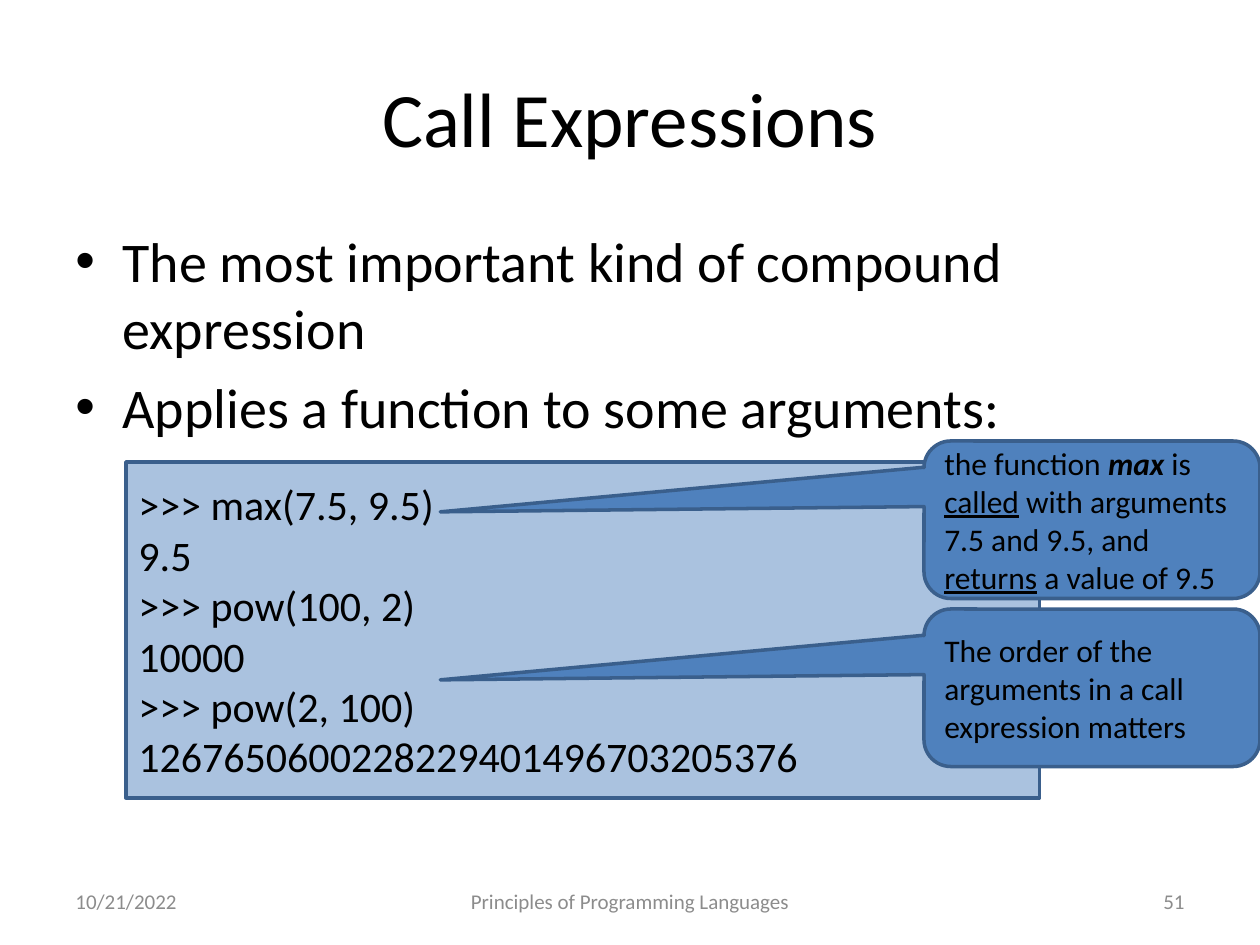
from lxml.etree import SubElement
from pptx import Presentation
from pptx.dml.color import RGBColor
from pptx.enum.shapes import MSO_SHAPE as SHAPE
from pptx.enum.text import MSO_ANCHOR as ANCHOR, PP_ALIGN as ALIGN
from pptx.oxml.ns import qn
from pptx.util import Pt

FONT = "Calibri"
COLORS = {"text": "000000", "muted": "8C8C8C", "fill": "4F81BD", "line": "3A5F8C"}

# Content: each paragraph is a list of (text, style) runs; b, i, u set the style
TITLE = [[("Call Expressions", "")]]
BULLETS = [
    [("The most important kind of compound expression", "")],
    [("Applies a function to some arguments:", "")],
]
CODE = [[(line, "")] for line in (
    ">>> max(7.5, 9.5)",
    "9.5",
    ">>> pow(100, 2)",
    "10000",
    ">>> pow(2, 100)",
    "1267650600228229401496703205376",
)]
CALLOUTS = [
    [
        [("the function ", ""), ("max", "bi"), (" is ", ""), ("called", "u"),
         (" with arguments 7.5 and 9.5, and", "")],
        [("returns", "u"), (" a value of 9.5", "")],
    ],
    [[("The order of the arguments in a call expression matters", "")]],
]
FOOTERS = [  # text, left, width, alignment
    ("10/21/2022", 36, 168, ALIGN.LEFT),
    ("Principles of Programming Languages", 246, 228, ALIGN.CENTER),
    ("51", 516, 168, ALIGN.RIGHT),
]

# Layout in points
TITLE_BOX = (36, 21.6, 648, 90)
BODY_BOX = (36, 126, 648, 356.4)
CODE_BOX = (72, 264, 522, 192)
FOOTER_TOP, FOOTER_HEIGHT = 500.4, 28.8
CALLOUT_LEFT, CALLOUT_TOP, CALLOUT_STEP = 528, 252, 96
CALLOUT_SIZE = (192, 90)
CALLOUT_ADJUST = (-1.94, -0.05, 0.17)
BULLET_INDENT = 27


def rgb(name):
    return RGBColor.from_string(COLORS[name])


def write(sp, paragraphs, size, color="text", align=ALIGN.LEFT, anchor=ANCHOR.MIDDLE):
    tf = sp.text_frame
    tf.word_wrap = True
    tf.vertical_anchor = anchor
    for n, runs in enumerate(paragraphs):
        p = tf.add_paragraph() if n else tf.paragraphs[0]
        p.alignment = align
        for text, style in runs:
            r = p.add_run()
            r.text = text
            r.font.name, r.font.size = FONT, Pt(size)
            r.font.color.rgb = rgb(color)
            r.font.bold, r.font.italic, r.font.underline = (k in style for k in "biu")
    return tf


def add_text(s, box, paragraphs, size, **options):
    sp = s.shapes.add_textbox(*map(Pt, box))
    return write(sp, paragraphs, size, **options)


def add_box(s, kind, box, paragraphs, size):
    sp = s.shapes.add_shape(kind, *map(Pt, box))
    sp.shadow.inherit = False
    sp.fill.solid()
    sp.fill.fore_color.rgb = rgb("fill")
    sp.line.color.rgb = rgb("line")
    sp.line.width = Pt(2)
    write(sp, paragraphs, size)
    return sp


def add_bullet(p):
    p.space_before = Pt(6.4)
    pPr = p._p.get_or_add_pPr()
    pPr.set("marL", str(Pt(BULLET_INDENT)))
    pPr.set("indent", str(-Pt(BULLET_INDENT)))
    SubElement(pPr, qn("a:buFont")).set("typeface", "Arial")
    SubElement(pPr, qn("a:buChar")).set("char", "•")


def main():
    prs = Presentation()
    prs.slide_width, prs.slide_height = Pt(720), Pt(540)
    s = prs.slides.add_slide(prs.slide_layouts[6])

    # Title and bullets
    add_text(s, TITLE_BOX, TITLE, 44, align=ALIGN.CENTER)
    for p in add_text(s, BODY_BOX, BULLETS, 32, anchor=ANCHOR.TOP).paragraphs:
        add_bullet(p)

    # Footer row
    for text, left, width, align in FOOTERS:
        add_text(s, (left, FOOTER_TOP, width, FOOTER_HEIGHT), [[(text, "")]], 12,
                 color="muted", align=align)

    # Translucent code panel
    panel = add_box(s, SHAPE.RECTANGLE, CODE_BOX, CODE, 24)
    fill_color = panel._element.spPr.find(qn("a:solidFill"))[0]
    SubElement(fill_color, qn("a:alpha")).set("val", "48000")

    # Callouts pointing at the code
    for n, paragraphs in enumerate(CALLOUTS):
        box = (CALLOUT_LEFT, CALLOUT_TOP + n * CALLOUT_STEP, *CALLOUT_SIZE)
        sp = add_box(s, SHAPE.ROUNDED_RECTANGULAR_CALLOUT, box, paragraphs, 18)
        for k, value in enumerate(CALLOUT_ADJUST):
            sp.adjustments[k] = value

    prs.save("out.pptx")


if __name__ == "__main__":
    main()
